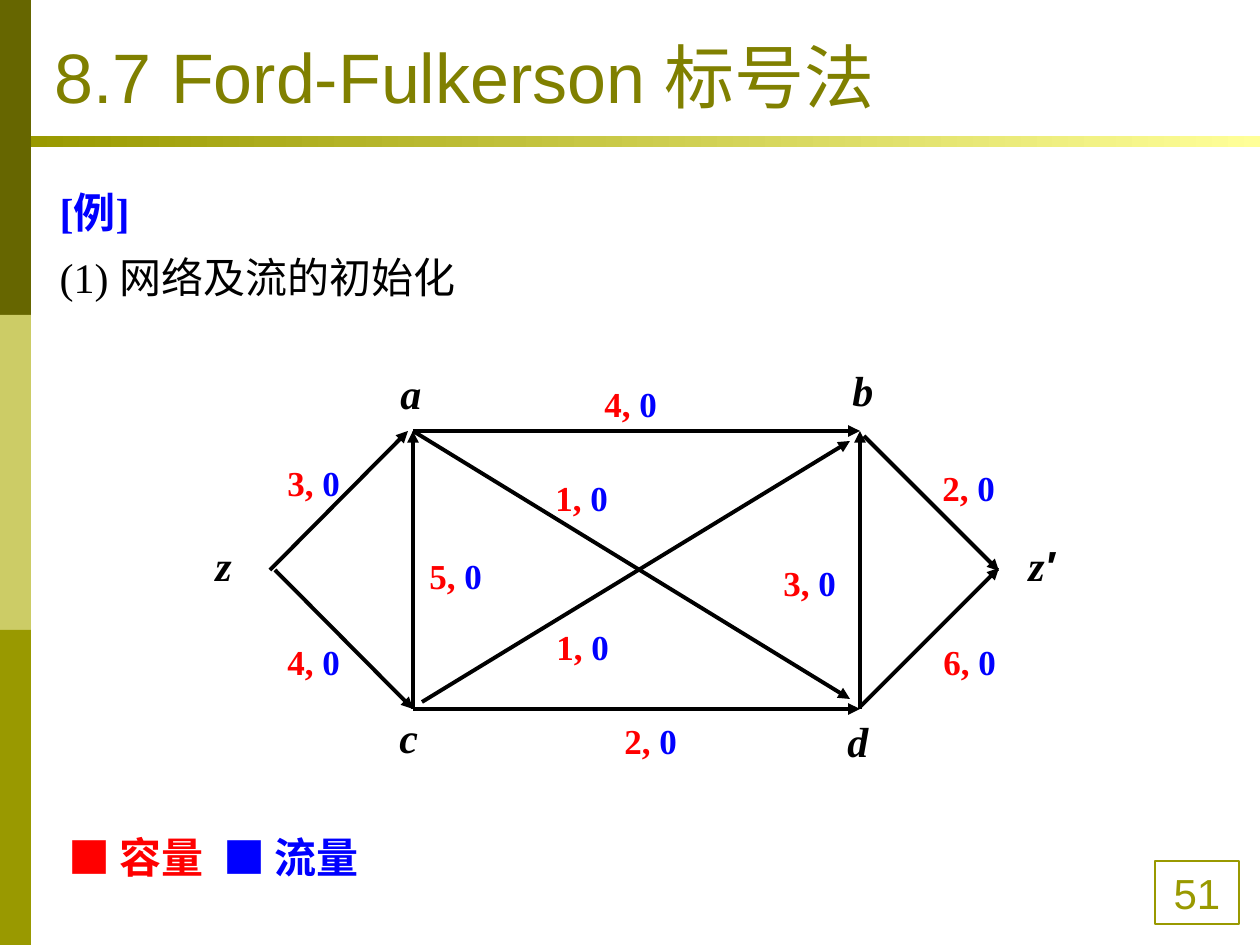
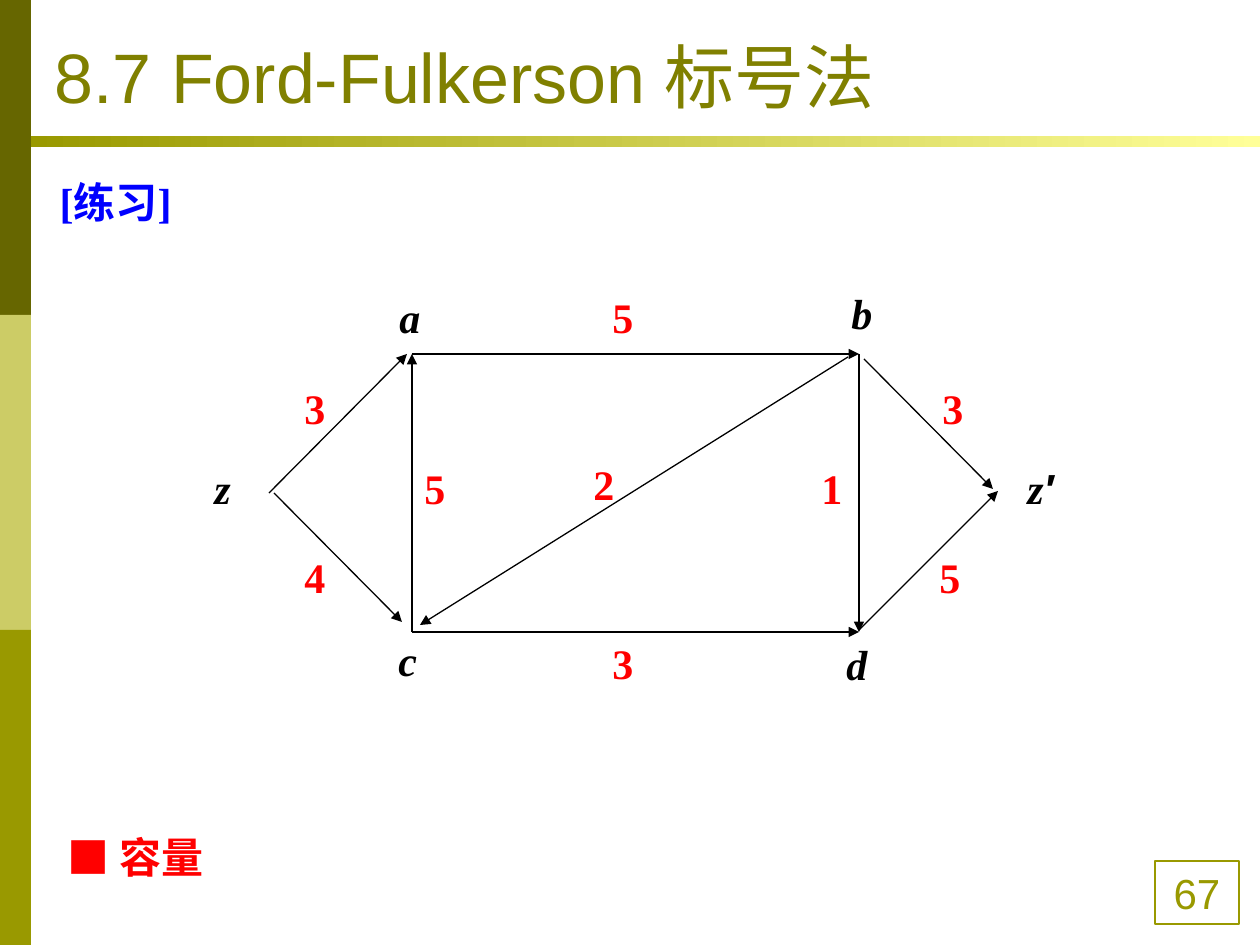
from dataclasses import dataclass

from lxml.etree import SubElement as Sub
from pptx import Presentation
from pptx.dml.color import RGBColor as Rgb
from pptx.enum.shapes import MSO_CONNECTOR as Link, MSO_SHAPE as Kind
from pptx.enum.text import MSO_ANCHOR as Anchor, MSO_AUTO_SIZE as Fit, PP_ALIGN as Align
from pptx.oxml.ns import qn
from pptx.util import Pt

SCALE = 914400 / 126  # EMU in one px


@dataclass(frozen=True)
class Theme:
    dark: str = "666600"
    pale: str = "CCCC66"
    olive: str = "999900"
    glow: str = "FFFF99"
    head: str = "808000"
    red: str = "FF0000"
    blue: str = "0000FF"
    black: str = "000000"
    sans: str = "Arial"
    serif: str = "Times New Roman"
    large: int = 40
    text: int = 24
    small: int = 20


T = Theme()


@dataclass(frozen=True)
class Style:
    color: str
    size: int = T.text
    face: str = T.serif
    bold: bool = True
    slant: bool = False


TITLE = Style(T.head, T.large, T.sans, False)
PAGE = Style(T.olive, face=T.sans, bold=False)
TAG = Style(T.blue)
PLAIN = Style(T.black, bold=False)
NODE = Style(T.black, slant=True)
PRIME = Style(T.black, face=T.sans, slant=True)


# ---- helpers ----
def px(*vals):
    return [round(v * SCALE) for v in vals]


def add_runs(para, runs):
    for text, style in runs:
        run = para.add_run()
        run.text = text
        font = run.font
        font.name, font.size = style.face, Pt(style.size)
        font.bold, font.italic = style.bold, style.slant
        font.color.rgb = Rgb.from_string(style.color)


def put(shape, box):
    shape.left, shape.top, shape.width, shape.height = px(*box)


def add_rect(shapes, box, color=None):
    rect = shapes.add_shape(Kind.RECTANGLE, *px(*box))
    rect.shadow.inherit = False
    rect.line.fill.background()
    if color:
        rect.fill.solid()
        rect.fill.fore_color.rgb = Rgb.from_string(color)
    return rect


def add_label(shapes, box, runs):
    frame = shapes.add_textbox(*px(*box)).text_frame
    frame.word_wrap = True
    frame.margin_top = px(10)[0]
    add_runs(frame.paragraphs[0], runs)


def add_arrow(shapes, start, end, width):
    line = shapes.add_connector(Link.STRAIGHT, *px(*start, *end))
    line.line.width = Pt(width)
    line.line.color.rgb = Rgb.from_string(T.black)
    props = line.element.spPr
    Sub(props.find(qn("a:ln")), qn("a:tailEnd"), type="triangle")
    Sub(props, qn("a:effectLst"))


# ---- shared frame: side bands and title rule, kept on the layout ----
def add_frame(slide):
    shapes = slide.shapes
    parts = [add_rect(shapes, (0, 315 * i, 31, 315), color)
             for i, color in enumerate((T.dark, T.pale, T.olive))]
    rule = add_rect(shapes, (31, 136, 1229, 11))
    rule.fill.gradient()
    rule.fill.gradient_angle = 0
    for stop, color in zip(rule.fill.gradient_stops, (T.olive, T.glow)):
        stop.color.rgb = Rgb.from_string(color)
    tree = slide.slide_layout.shapes.element
    for i, part in enumerate(parts + [rule]):
        tree.insert(2 + i, part.element)


def add_title(slide):
    title = slide.shapes.title
    put(title, (42, 16, 1134, 108))
    frame = title.text_frame
    frame.auto_size, frame.vertical_anchor = Fit.NONE, Anchor.BOTTOM
    para = frame.paragraphs[0]
    para.alignment = Align.LEFT
    add_runs(para, [("8.7 Ford-Fulkerson 标号法", TITLE)])


def add_page(slide, num):
    rect = add_rect(slide.shapes, (1155, 861, 84, 63))
    rect.fill.background()
    rect.line.color.rgb = Rgb.from_string(T.olive)
    rect.line.width = Pt(0.75)
    para = rect.text_frame.paragraphs[0]
    para.alignment = Align.CENTER
    add_runs(para, [(num, PAGE)])


# ---- body list ----
def add_body(slide, box, lines):
    body = slide.placeholders[1]
    put(body, box)
    frame = body.text_frame
    frame.auto_size = Fit.NONE
    for i, line in enumerate(lines):
        para = frame.add_paragraph() if i else frame.paragraphs[0]
        hang = px(84)[0]
        props = para._p.get_or_add_pPr()
        props.set("marL", str(hang))
        props.set("indent", str(-hang))
        Sub(props, qn("a:buNone"))
        para.line_spacing, para.space_before = 1.3, Pt(0)
        add_runs(para, [line])


# ---- colour key ----
def add_key(slide, box, items):
    frame = slide.shapes.add_textbox(*px(*box)).text_frame
    frame.word_wrap = True
    frame.margin_left = px(24)[0]
    para = frame.paragraphs[0]
    tabs = Sub(para._p.get_or_add_pPr(), qn("a:tabLst"))
    Sub(tabs, qn("a:tab"), pos=str(px(155)[0]), algn="l")
    para.line_spacing = 1.3
    for i, (text, color) in enumerate(items):
        mark = "\t■" if i else "■"
        add_runs(para, [(mark, Style(color, face=T.sans)), (" " + text, Style(color))])


# ---- network graph: all points are relative to the graph's corner ----
SPOTS = {"a": (210, 76), "b": (657, 76), "c": (210, 354), "d": (657, 354),
         "z": (67, 215), "z′": (796, 213)}
NAMES = {"a": (185, 3), "b": (637, 0), "c": (184, 347), "d": (632, 351),
         "z": (0, 175), "z′": (813, 175)}


def add_graph(slide, corner, edges, width, size, tag):
    shapes = slide.shapes.add_group_shape().shapes

    def at(spot, shift=(0, 0)):
        return [sum(v) for v in zip(corner, spot, shift)]

    # arrows
    for tail, head, trim, end, *_ in edges:
        add_arrow(shapes, at(SPOTS[tail], trim), at(SPOTS[head], end), width)
    # node names
    for name, spot in NAMES.items():
        runs = [(name[0], NODE)] + [(mark, PRIME) for mark in name[1:]]
        add_label(shapes, (*at(spot), 59, 63), runs)
    # edge values
    for *_, value, spot in edges:
        add_label(shapes, (*at(spot), *tag), flow_runs(value, size))


def flow_runs(value, size):
    cap, comma, flow = value.partition(", ")
    runs = [(cap + comma, Style(T.red, size))]
    return runs + [(flow, Style(T.blue, size))] if flow else runs


# tail, head, shift of the start, shift of the end, value, place of the value
FLOWS = [
    ("a", "b", (0, 0), (0, 0), "4, 0", (389, 17)),
    ("c", "d", (0, 0), (0, 0), "2, 0", (409, 354)),
    ("c", "a", (0, 0), (0, 0), "5, 0", (214, 189)),
    ("d", "b", (0, 0), (0, 0), "3, 0", (568, 196)),
    ("c", "b", (9, -7), (-10, 10), "1, 0", (341, 260)),
    ("a", "d", (0, 0), (-10, -10), "1, 0", (340, 111)),
    ("z", "a", (0, 0), (-5, 0), "3, 0", (72, 96)),
    ("d", "z′", (0, -2), (0, 0), "6, 0", (728, 275)),
    ("z", "c", (5, 0), (0, 0), "4, 0", (72, 275)),
    ("b", "z′", (4, 5), (0, 3), "2, 0", (727, 101)),
]
CAPS = [
    ("a", "b", (0, 0), (0, 0), "5", (398, 3)),
    ("c", "d", (0, 0), (0, 0), "3", (398, 349)),
    ("c", "a", (0, 0), (0, 0), "5", (210, 174)),
    ("b", "d", (0, 0), (0, 0), "1", (607, 174)),
    ("b", "c", (-11, 3), (8, -7), "2", (379, 171)),
    ("z", "a", (0, 0), (-5, 0), "3", (90, 95)),
    ("d", "z′", (0, -2), (0, 0), "5", (725, 264)),
    ("z", "c", (5, 0), (-10, -10), "4", (90, 264)),
    ("b", "z′", (5, 5), (-5, -2), "3", (728, 95)),
]


# ---- slides ----
def add_slide(deck, num):
    slide = deck.slides.add_slide(deck.slide_layouts[1])
    add_title(slide)
    add_page(slide, num)
    return slide


def add_sample(deck):
    slide = add_slide(deck, "51")
    add_frame(slide)
    add_body(slide, (47, 165, 513, 159), [("[例]", TAG), ("(1) 网络及流的初始化", PLAIN)])
    add_key(slide, (44, 810, 387, 79), [("容量", T.red), ("流量", T.blue)])
    add_graph(slide, (203, 355), FLOWS, 2.25, T.small, (79, 55))


def add_task(deck):
    slide = add_slide(deck, "67")
    add_body(slide, (47, 155, 553, 79), [("[练习]", TAG)])
    add_key(slide, (44, 810, 466, 79), [("容量", T.red)])
    add_graph(slide, (202, 278), CAPS, 0.75, T.text, (59, 63))


def main():
    deck = Presentation()
    deck.slide_width, deck.slide_height = px(1260, 945)
    add_sample(deck)
    add_task(deck)
    deck.save("out.pptx")


if __name__ == "__main__":
    main()
